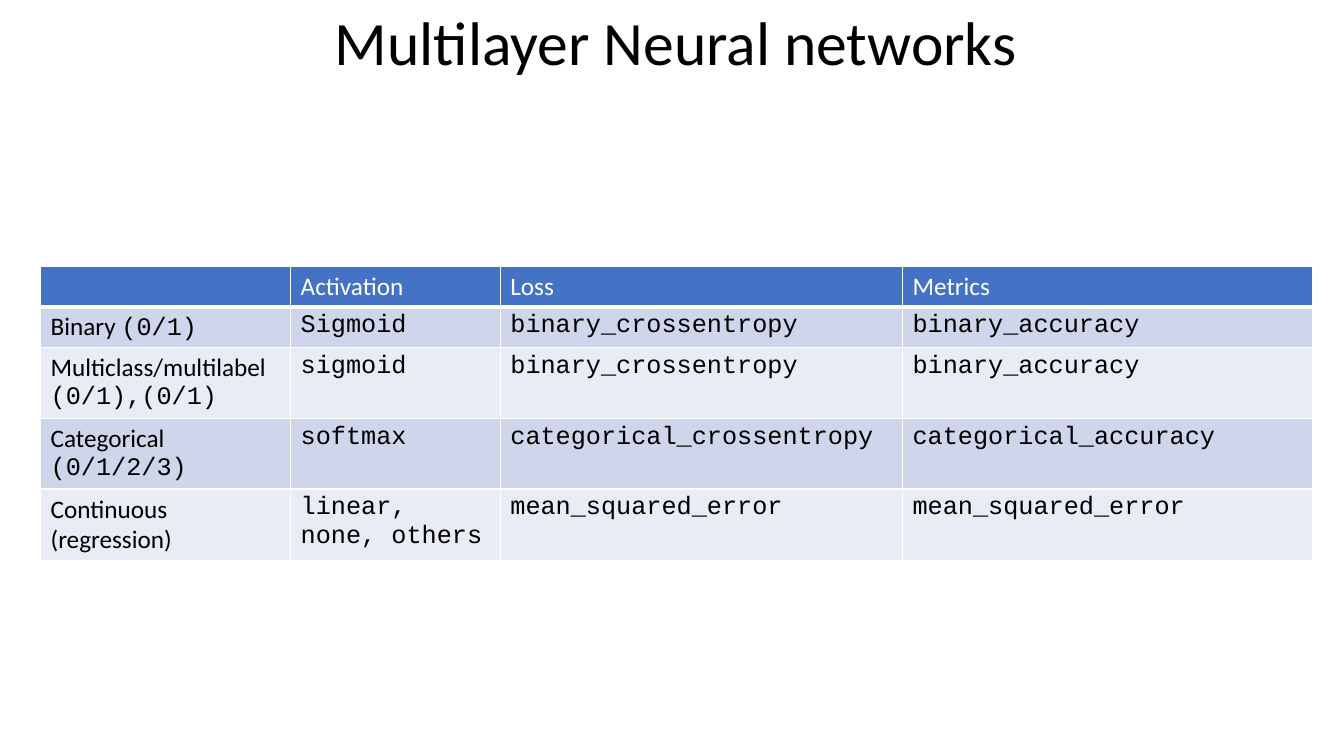
from lxml import etree
from pptx import Presentation
from pptx.dml.color import RGBColor
from pptx.enum.text import MSO_ANCHOR, PP_ALIGN
from pptx.oxml.ns import qn
from pptx.util import Pt

CENTER = PP_ALIGN.CENTER
MIDDLE = MSO_ANCHOR.MIDDLE

BLACK = RGBColor(0x00, 0x00, 0x00)
WHITE = RGBColor(0xFF, 0xFF, 0xFF)
HEADER_BLUE = RGBColor(0x44, 0x72, 0xC4)
BANDS = (RGBColor(0xCF, 0xD5, 0xEA), RGBColor(0xE9, 0xEB, 0xF5))

SANS = "Calibri"
MONO = "Courier New"

COLUMN_WIDTHS = (178.6, 149.8, 287.3, 293.2)
ROW_HEIGHTS = (29.2, 29.2, 49.6, 49.6, 51.2)
HEADERS = ("", "Activation", "Loss", "Metrics")
TASKS = (
    ([[("Binary ", SANS), ("(0/1)", MONO)]],
     "Sigmoid", "binary_crossentropy", "binary_accuracy"),
    ([[("Multiclass/multilabel", SANS)], [("(0/1),(0/1)", MONO)]],
     "sigmoid", "binary_crossentropy", "binary_accuracy"),
    ([[("Categorical", SANS)], [("(0/1/2/3)", MONO)]],
     "softmax", "categorical_crossentropy", "categorical_accuracy"),
    ([[("Continuous (regression)", SANS)]],
     "linear, none, others", "mean_squared_error", "mean_squared_error"),
)


def add_run(p, text, font=SANS, size=18, color=BLACK):
    r = p.add_run()
    r.text = text
    r.font.name = font
    r.font.size = Pt(size)
    r.font.bold = False
    r.font.color.rgb = color


class SlideBuilder:
    def __init__(self, slide, border=WHITE):
        self.s = slide
        self.border = border

    def title(self, text, left, top, width, height):
        sp = self.s.shapes.add_textbox(Pt(left), Pt(top), Pt(width), Pt(height))
        tf = sp.text_frame
        tf.word_wrap = True
        tf.vertical_anchor = MIDDLE
        p = tf.paragraphs[0]
        p.alignment = CENTER
        p.line_spacing = 0.9
        add_run(p, text, size=44)

    def borders(self, cell, bottom):
        tc_pr = cell._tc.get_or_add_tcPr()
        for side, width in (("L", 1), ("R", 1), ("T", 1), ("B", bottom)):
            ln = etree.SubElement(tc_pr, qn(f"a:ln{side}"), w=str(Pt(width)))
            fill = etree.SubElement(ln, qn("a:solidFill"))
            etree.SubElement(fill, qn("a:srgbClr"), val=str(self.border))

    def cell(self, cell, paragraphs, fill, color=BLACK, bottom=1):
        self.borders(cell, bottom)
        cell.fill.solid()
        cell.fill.fore_color.rgb = fill
        tf = cell.text_frame
        for i, runs in enumerate(paragraphs):
            p = tf.add_paragraph() if i else tf.paragraphs[0]
            for text, font in runs:
                add_run(p, text, font=font, color=color)

    def table(self, left, top, widths, heights, headers, rows):
        frame = self.s.shapes.add_table(
            len(heights), len(widths), Pt(left), Pt(top),
            Pt(sum(widths)), Pt(sum(heights)))
        table = frame.table
        for column, width in zip(table.columns, widths):
            column.width = Pt(width)
        for row, height in zip(table.rows, heights):
            row.height = Pt(height)
        for j, text in enumerate(headers):
            paragraphs = [[(text, SANS)]] if text else []
            self.cell(table.cell(0, j), paragraphs, HEADER_BLUE, WHITE, bottom=3)
        for i, (label, *values) in enumerate(rows):
            contents = [label] + [[[(value, MONO)]] for value in values]
            for j, paragraphs in enumerate(contents):
                self.cell(table.cell(i + 1, j), paragraphs, BANDS[i % 2])


def main():
    prs = Presentation()
    prs.slide_width = Pt(960)
    prs.slide_height = Pt(540)
    slide = SlideBuilder(prs.slides.add_slide(prs.slide_layouts[6]))
    slide.title("Multilayer Neural networks", 69, -20, 828, 104.4)
    slide.table(29, 190, COLUMN_WIDTHS, ROW_HEIGHTS, HEADERS, TASKS)
    prs.save("out.pptx")


if __name__ == "__main__":
    main()
